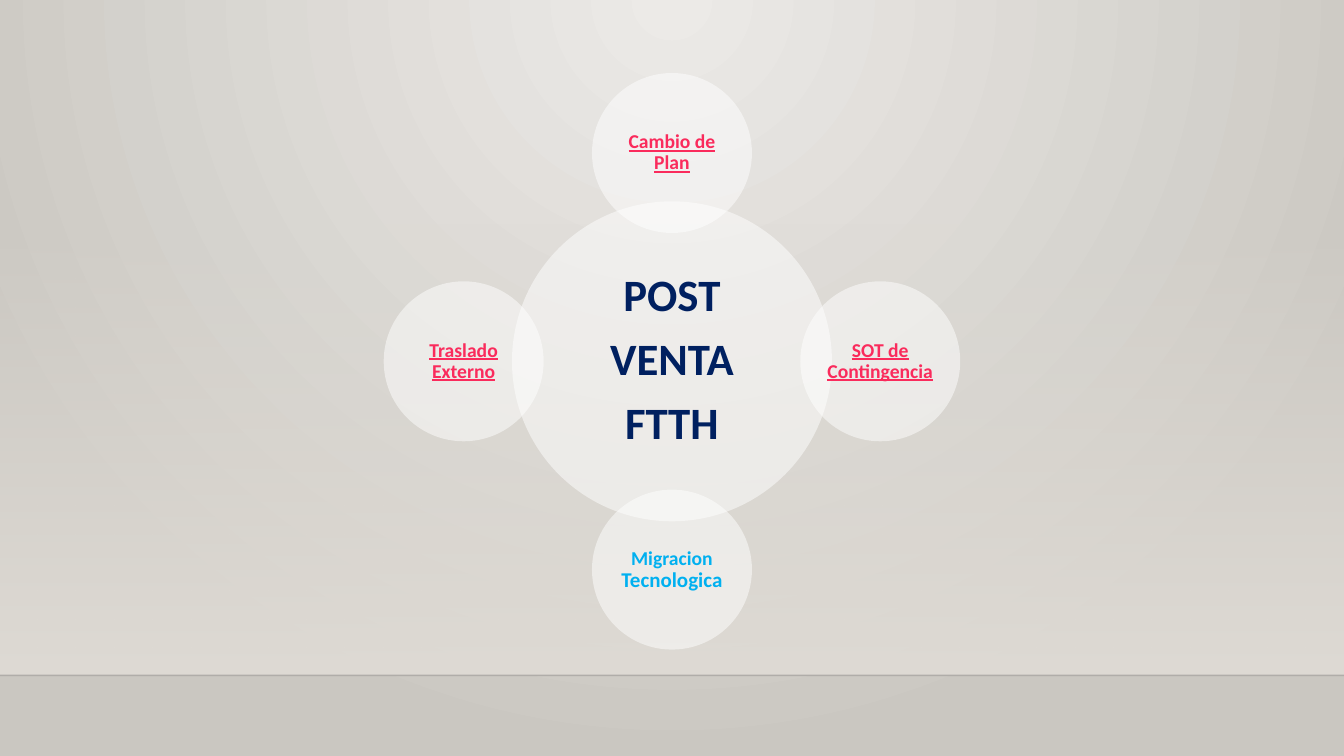
from lxml.etree import SubElement
from pptx import Presentation
from pptx.dml.color import RGBColor
from pptx.enum.shapes import MSO_CONNECTOR, MSO_SHAPE
from pptx.enum.text import MSO_ANCHOR, PP_ALIGN
from pptx.oxml.ns import qn
from pptx.util import Cm, Pt

WIDTH, HEIGHT = Cm(33.87), Cm(19.05)
LIGHT = RGBColor(0xEC, 0xEA, 0xE7)
STONE = RGBColor(0xCA, 0xC7, 0xC1)
SAND = RGBColor(0xDF, 0xDB, 0xD5)
WHITE = RGBColor(0xFF, 0xFF, 0xFF)
BLACK = RGBColor(0x00, 0x00, 0x01)
NAVY = RGBColor(0x00, 0x20, 0x60)
PINK = RGBColor(0xFA, 0x2B, 0x5C)
BLUE = RGBColor(0x00, 0xB0, 0xF0)

SATELLITES = [
    (0, -1, [("Cambio de Plan", 14)], PINK, True),
    (1, 0, [("SOT de Contingencia", 14)], PINK, True),
    (0, 1, [("Migracion", 14), (" Tecnologica", 15)], BLUE, False),
    (-1, 0, [("Traslado Externo", 14)], PINK, True),
]


def set_alpha(color, percent):
    """Give a srgbClr element an opacity in percent."""
    SubElement(color, qn("a:alpha"), val=str(percent * 1000))


def set_gradient(fill, first, last):
    """Fill with a gradient between two colours."""
    fill.gradient()
    for stop, color, position in zip(fill.gradient_stops, (first, last), (0, 1)):
        stop.color.rgb = color
        stop.position = position


def add_background(s):
    """Paint a radial gradient spreading from the top centre."""
    set_gradient(s.background.fill, LIGHT, STONE)
    grad = s.element.find(".//" + qn("a:gradFill"))
    grad.remove(grad.find(qn("a:lin")))
    shade = SubElement(grad, qn("a:path"), {"path": "circle"})
    SubElement(shade, qn("a:fillToRect"), l="43000", t="0", r="43000", b="100000")


def add_backdrop(s, left, top, width, height):
    """Add the wall fading in downwards and the floor line below it."""
    wall = s.shapes.add_shape(MSO_SHAPE.RECTANGLE, left, top, width, height)
    wall.shadow.inherit = False
    wall.line.fill.background()
    set_gradient(wall.fill, SAND, SAND)
    wall.fill.gradient_angle = 270
    set_alpha(wall.element.find(".//" + qn("a:srgbClr")), 0)

    floor = top + height
    line = s.shapes.add_connector(MSO_CONNECTOR.STRAIGHT, left, floor, left + width, floor)
    line.line.color.rgb = BLACK
    line.line.width = Pt(1)
    set_alpha(line.element.find(".//" + qn("a:srgbClr")), 20)
    SubElement(line.element.spPr, qn("a:effectLst"))


def add_circle(s, x, y, size, paragraphs, color, inset, underline=False):
    """Add a translucent circle centred on x, y with bold text."""
    sp = s.shapes.add_shape(MSO_SHAPE.OVAL, x - size // 2, y - size // 2, size, size)
    sp.shadow.inherit = False
    sp.line.fill.background()
    sp.fill.solid()
    sp.fill.fore_color.rgb = WHITE
    set_alpha(sp.element.find(".//" + qn("a:srgbClr")), 50)
    tf = sp.text_frame
    tf.word_wrap = True
    tf.vertical_anchor = MSO_ANCHOR.MIDDLE
    tf.margin_left = tf.margin_right = tf.margin_top = tf.margin_bottom = inset
    for i, runs in enumerate(paragraphs):
        p = tf.add_paragraph() if i else tf.paragraphs[0]
        p.alignment = PP_ALIGN.CENTER
        p.line_spacing = 0.9
        p.space_after = Pt(0.35 * runs[0][1])
        p.font.name = "Calibri"
        p.font.bold = True
        p.font.underline = underline
        p.font.color.rgb = color
        for text, points in runs:
            r = p.add_run()
            r.text = text
            r.font.size = Pt(points)


def add_radial_diagram(s, left, top, size):
    """Add the hub and its four satellites in a square box."""
    x, y = left + size // 2, top + size // 2
    hub = int(size * 0.555)
    small = hub // 2
    reach = (size - small) // 2
    words = [[(word, 32)] for word in ("POST", "VENTA", "FTTH")]
    add_circle(s, x, y, hub, words, NAVY, Cm(0.1))
    for dx, dy, runs, color, underline in SATELLITES:
        add_circle(s, x + dx * reach, y + dy * reach, small, [runs], color, Cm(0.05), underline)


def main():
    """Build and save the slide."""
    prs = Presentation()
    prs.slide_width, prs.slide_height = WIDTH, HEIGHT
    s = prs.slides.add_slide(prs.slide_layouts[6])
    add_background(s)
    add_backdrop(s, 0, Cm(5.61), WIDTH, Cm(11.41))
    add_radial_diagram(s, Cm(9.67), Cm(1.84), Cm(14.53))
    prs.save("out.pptx")


if __name__ == "__main__":
    main()
